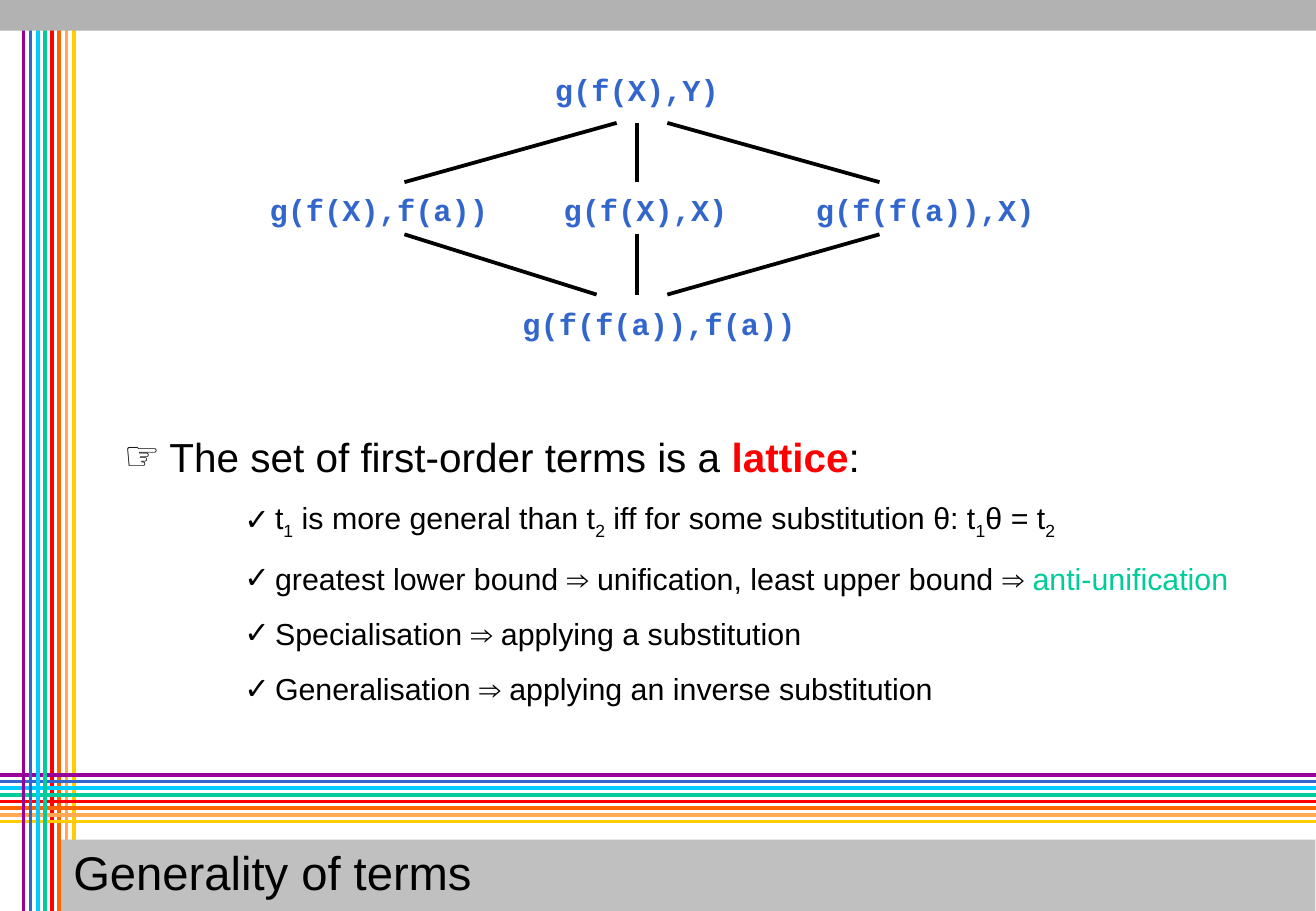
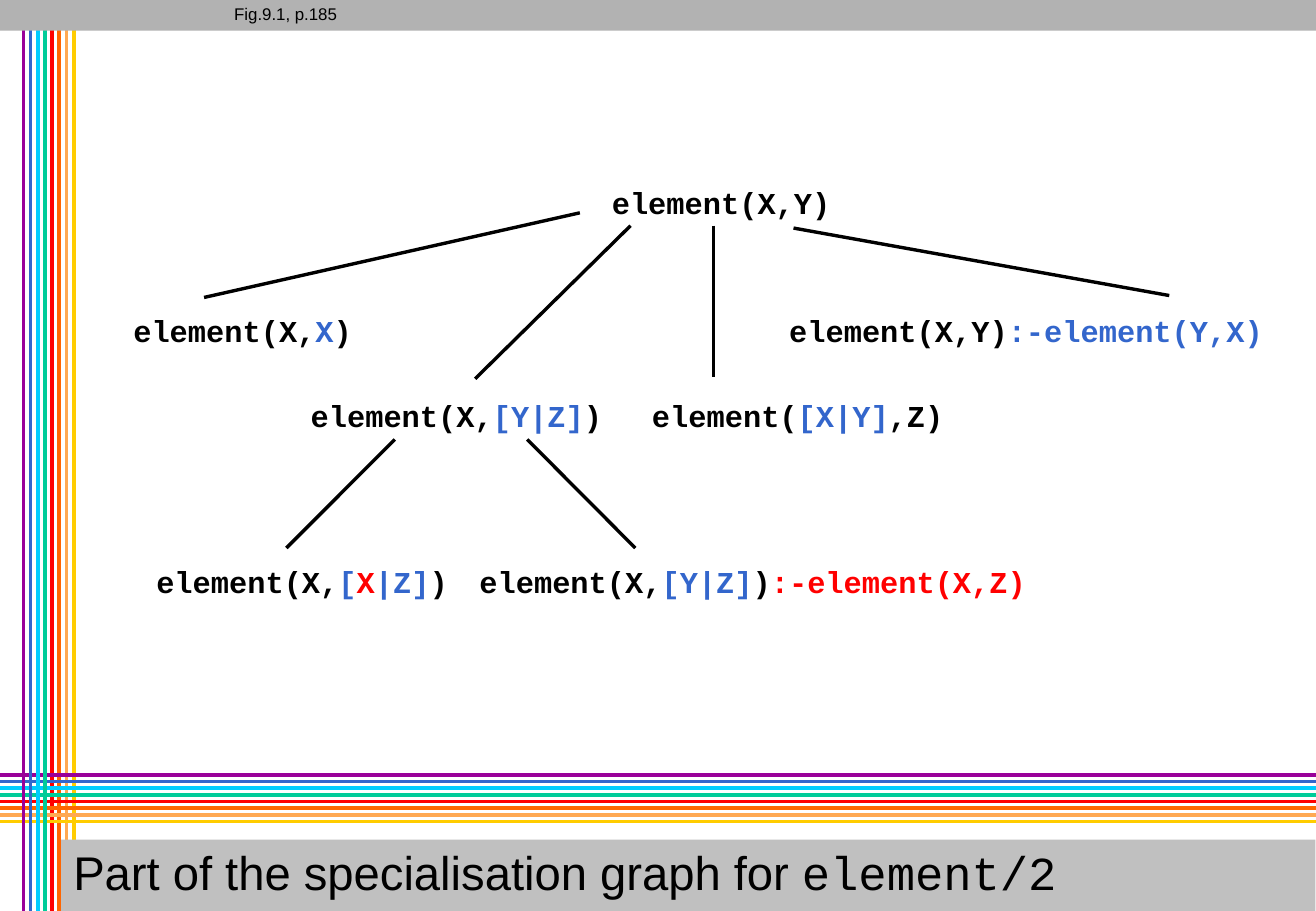
from lxml import etree
from pptx import Presentation
from pptx.dml.color import RGBColor
from pptx.enum import shapes, text
from pptx.oxml import ns
from pptx.util import Cm, Pt

COLOURS = {
    "black": "000000", "purple": "990099", "blue": "3366CC", "cyan": "00CCFF",
    "green": "00CC99", "red": "FF0000", "orange": "FF6600", "peach": "FFA953",
    "yellow": "FFCC00", "band": "B2B2B2", "title": "C0C0C0",
}
STRIPES = ["purple", "blue", "cyan", "green", "red", "orange", "peach", "yellow"]
SANS, MONO = "Arial", "Courier New"
PAGE_WIDTH, PAGE_HEIGHT = 27.53, 19.05
CODE_SIZE, CHAR_WIDTH = 18, 0.382  # points, and cm for each monospaced character


def colour(name):
    return RGBColor.from_string(COLOURS[name])


# Basic parts
def add_span(para, words, size, tint="black", font=SANS, bold=False):
    span = para.add_run()
    span.text = words
    span.font.size = Pt(size)
    span.font.name = font
    span.font.bold = bold
    span.font.color.rgb = colour(tint)
    return span


def add_line(page, start, end, tint="black", width=2.25):
    points = [Cm(value) for value in (*start, *end)]
    line = page.shapes.add_connector(shapes.MSO_CONNECTOR.STRAIGHT, *points)
    line.line.color.rgb = colour(tint)
    line.line.width = Pt(width)
    etree.SubElement(line._element.spPr, ns.qn("a:effectLst"))
    return line


def add_label(page, left, top, width, height, inset, spacing):
    box = page.shapes.add_textbox(Cm(left), Cm(top), Cm(width), Cm(height))
    frame = box.text_frame
    frame.word_wrap = False
    frame.auto_size = text.MSO_AUTO_SIZE.SHAPE_TO_FIT_TEXT
    frame.margin_left = frame.margin_right = Cm(inset)
    frame.margin_top = frame.margin_bottom = Cm(inset / 2)
    para = frame.paragraphs[0]
    para.line_spacing = spacing
    return para


# Master: woven stripes and top band, shared by every slide
def decorate_master(deck, page):
    def upright(index):
        x = 0.49 + 0.15 * index
        return add_line(page, (x, 0), (x, PAGE_HEIGHT), STRIPES[index])

    def level(index):
        y = 16.2 + 0.14 * index
        return add_line(page, (PAGE_WIDTH, y), (0, y), STRIPES[index])

    parts = [upright(index) for index in range(4, 8)]
    parts += [level(index) for index in range(8)]
    parts += [upright(index) for index in range(4)]
    band = page.shapes.add_shape(shapes.MSO_SHAPE.RECTANGLE, 0, 0, Cm(PAGE_WIDTH), Cm(0.64))
    band.shadow.inherit = False
    band.fill.solid()
    band.fill.fore_color.rgb = colour("band")
    band.line.fill.background()
    for number, part in enumerate(parts + [band], start=100):
        part._element.xpath(".//p:cNvPr")[0].set("id", str(number))
        deck.slide_master.shapes._spTree.append(part._element)


# Title bar at the foot of the slide
def fill_title(page, spans):
    title = page.shapes.title
    title.left, title.top, title.width, title.height = Cm(1.28), Cm(17.56), Cm(26.24), Cm(1.5)
    title.fill.solid()
    title.fill.fore_color.rgb = colour("title")
    frame = title.text_frame
    frame.auto_size = text.MSO_AUTO_SIZE.NONE
    frame.vertical_anchor = text.MSO_ANCHOR.MIDDLE
    para = frame.paragraphs[0]
    para.alignment = text.PP_ALIGN.LEFT
    para.line_spacing = 0.9
    for words, font in spans:
        add_span(para, words, 28, font=font)


# Diagram: code labels and edges, measured from the corner of its box
def draw_diagram(page, left, top, nodes, edges, inset, spacing, width):
    for x, y, spans in nodes:
        length = sum(len(words) for words, tint in spans)
        para = add_label(page, left + x, top + y, length * CHAR_WIDTH + 2 * inset,
                         0.58 + 1.45 * inset, inset, spacing)
        for words, tint in spans:
            add_span(para, words, CODE_SIZE, tint, MONO, True)
    for x1, y1, x2, y2 in edges:
        add_line(page, (left + x1, top + y1), (left + x2, top + y2), width=width)


# Bulleted list in the body placeholder
def set_bullet(para, mark, margin, hanging):
    properties = para._p.get_or_add_pPr()
    properties.set("marL", str(Cm(margin)))
    properties.set("indent", str(-Cm(hanging)))
    tint = etree.SubElement(properties, ns.qn("a:buClr"))
    etree.SubElement(tint, ns.qn("a:srgbClr")).set("val", COLOURS["black"])
    etree.SubElement(properties, ns.qn("a:buChar")).set("char", mark)


def fill_body(page, left, top, width, height, heading, items):
    body = page.placeholders[1]
    body.left, body.top, body.width, body.height = Cm(left), Cm(top), Cm(width), Cm(height)
    frame = body.text_frame
    frame.auto_size = text.MSO_AUTO_SIZE.NONE
    frame.vertical_anchor = text.MSO_ANCHOR.MIDDLE
    para = frame.paragraphs[0]
    set_bullet(para, "☞", 0.95, 0.95)
    para.space_before = Pt(0)
    for words, tint, bold in heading:
        add_span(para, words, 24, tint, bold=bold)
    for spans in items:
        para = frame.add_paragraph()
        para.level = 2
        set_bullet(para, "✓", 3.16, 0.64)
        para.space_before = Pt(11.2)
        for words, style in spans:
            if style == "sub":
                span = add_span(para, words, 18)
                span.font._element.set("baseline", "-25000")
            else:
                add_span(para, words, 18, style)


# Slide 1: lattice of terms
def build_generality(page):
    fill_title(page, [("Generality of terms", SANS)])
    terms = [
        (5.97, 0, "g(f(X),Y)"),
        (0, 2.52, "g(f(X),f(a))"),
        (6.15, 2.52, "g(f(X),X)"),
        (11.43, 2.52, "g(f(f(a)),X)"),
        (5.29, 4.89, "g(f(f(a)),f(a))"),
    ]
    nodes = [(x, y, [(term, "blue")]) for x, y, term in terms]
    edges = [(inner, 1.1, outer, 2.34) for inner, outer in ((7.44, 3), (7.87, 7.87), (8.5, 12.94))]
    edges += [(outer, 3.43, inner, 4.69) for inner, outer in ((7.02, 3), (7.87, 7.87), (8.5, 12.94))]
    draw_diagram(page, 5.46, 1.47, nodes, edges, 0.18, 0.92, 2.25)
    heading = [
        ("The set of first-order terms is a ", "black", False),
        ("lattice", "red", True),
        (":", "black", False),
    ]
    items = [
        [("t", "black"), ("1", "sub"), (" is more general than t", "black"), ("2", "sub"),
         (" iff for some substitution θ: t", "black"), ("1", "sub"), ("θ = t", "black"), ("2", "sub")],
        [("greatest lower bound ⇒ unification, least upper bound ⇒ ", "black"),
         ("anti-unification", "green")],
        [("Specialisation ⇒ applying a substitution", "black")],
        [("Generalisation ⇒ applying an inverse substitution", "black")],
    ]
    fill_body(page, 2.34, 7.83, 24.77, 8.15, heading, items)


# Slide 2: specialisation graph
def build_specialisation(page):
    fill_title(page, [("Part of the specialisation graph for ", SANS), ("element/2", MONO)])
    nodes = [
        (10.01, 0, [("element(X,Y)", "black")]),
        (0, 2.68, [("element(X,", "black"), ("X", "blue"), (")", "black")]),
        (13.72, 2.68, [("element(X,Y)", "black"), (":-element(Y,X)", "blue")]),
        (3.71, 4.46, [("element(X,", "black"), ("[Y|Z]", "blue"), (")", "black")]),
        (10.85, 4.46, [("element(", "black"), ("[X|Y]", "blue"), (",Z)", "black")]),
        (0.48, 7.92, [("element(X,", "black"), ("[", "blue"), ("X", "red"), ("|Z]", "blue"),
                      (")", "black")]),
        (7.24, 7.92, [("element(X,", "black"), ("[Y|Z]", "blue"), (")", "black"),
                      (":-element(X,Z)", "red")]),
    ]
    edges = [
        (9.59, 0.64, 1.73, 2.41),
        (10.65, 0.91, 7.4, 4.11),
        (12.38, 0.91, 12.38, 4.07),
        (14.06, 0.96, 21.92, 2.37),
        (5.72, 5.38, 3.45, 7.65),
        (8.49, 5.38, 10.75, 7.65),
    ]
    draw_diagram(page, 2.54, 3.81, nodes, edges, 0.25, 0.9, 2)
    # Figure reference in the top band
    caption = add_label(page, 4.65, 0, 2.65, 0.63, 0.25, 0.9)
    add_span(caption, "Fig.9.1, p.185", 10)


def main():
    deck = Presentation()
    deck.slide_width, deck.slide_height = Cm(PAGE_WIDTH), Cm(PAGE_HEIGHT)
    generality = deck.slides.add_slide(deck.slide_layouts.get_by_name("Title and Content"))
    specialisation = deck.slides.add_slide(deck.slide_layouts.get_by_name("Title Only"))
    decorate_master(deck, generality)
    build_generality(generality)
    build_specialisation(specialisation)
    deck.save("out.pptx")


if __name__ == "__main__":
    main()
